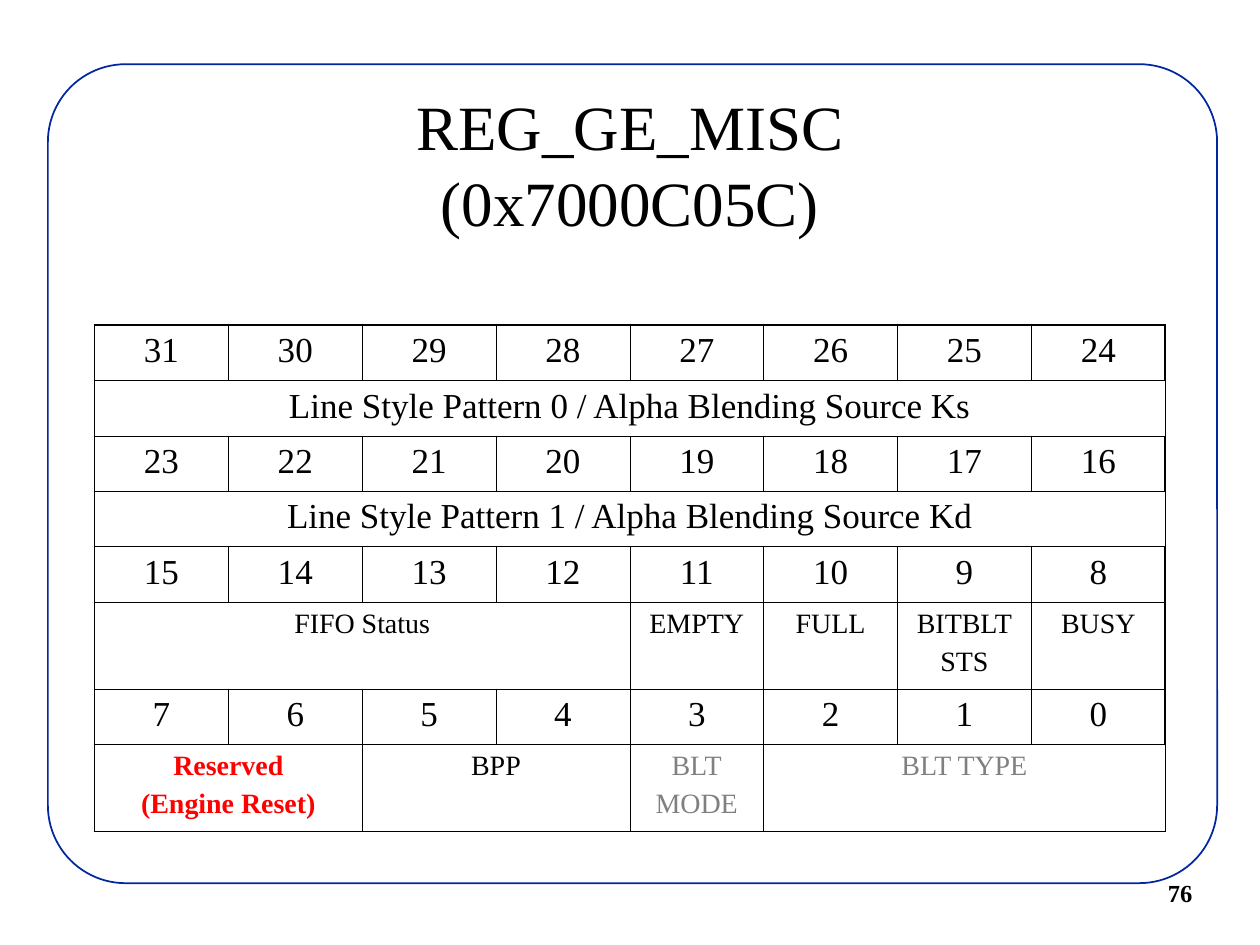
from dataclasses import dataclass

from lxml import etree
from pptx import Presentation
from pptx import util as u
from pptx.dml.color import RGBColor
from pptx.enum import shapes, text
from pptx.oxml import ns


@dataclass(frozen=True)
class Theme:
    font: str = "Times New Roman"
    ink: str = "000000"
    paper: str = "FFFFFF"
    frame: str = "00279F"
    alert: str = "FF0000"
    muted: str = "808080"
    title_size: int = 36
    bit_size: int = 20
    field_size: int = 16
    number_size: int = 14
    outer_line: float = 1.08
    inner_line: float = 0.45


class SlideBuilder:
    def __init__(self, theme, page):
        self.theme = theme
        self.page = page

    def set_words(self, frame, words, size, color=None, bold=False, align=None, gap=0):
        frame.text = words
        for index, para in enumerate(frame.paragraphs):
            para.alignment = align
            para.space_before = u.Pt(gap if index else 0)
            for span in para.runs:
                span.font.name = self.theme.font
                span.font.size = u.Pt(size)
                span.font.bold = bold
                span.font.color.rgb = RGBColor.from_string(color or self.theme.ink)

    def rounded_frame(self, left, top, width, height, corner):
        box = self.page.shapes.add_shape(
            shapes.MSO_SHAPE.ROUNDED_RECTANGLE,
            *map(u.Inches, (left, top, width, height)))
        box.adjustments[0] = corner
        box.shadow.inherit = False
        box.fill.solid()
        box.fill.fore_color.rgb = RGBColor.from_string(self.theme.paper)
        box.line.color.rgb = RGBColor.from_string(self.theme.frame)
        box.line.width = u.Pt(1)

    def text_box(self, left, top, width, height, words, size, wrap=True, **style):
        box = self.page.shapes.add_textbox(
            *map(u.Inches, (left, top, width, height)))
        frame = box.text_frame
        frame.word_wrap = wrap
        frame.vertical_anchor = (
            text.MSO_ANCHOR.MIDDLE if wrap else text.MSO_ANCHOR.TOP)
        self.set_words(frame, words, size, **style)

    def cell_borders(self, cell, outer_sides):
        properties = cell._tc.get_or_add_tcPr()
        for index, side in enumerate("LRTB"):
            width = (self.theme.outer_line if side in outer_sides
                     else self.theme.inner_line)
            line = etree.Element(ns.qn(f"a:ln{side}"), w=str(int(u.Pt(width))))
            fill = etree.SubElement(line, ns.qn("a:solidFill"))
            etree.SubElement(fill, ns.qn("a:srgbClr"), val=self.theme.ink)
            properties.insert(index, line)

    def register_table(self, left, top, width, columns, rows):
        heights = [height for height, *_ in rows]
        table = self.page.shapes.add_table(
            len(rows), columns,
            *map(u.Inches, (left, top, width, sum(heights)))).table
        table.first_row = table.horz_banding = False
        last_row, last_column = len(rows) - 1, columns - 1
        for column in table.columns:
            column.width = u.Inches(width / columns)
        for row, (height, size, gap, fields) in enumerate(rows):
            table.rows[row].height = u.Inches(height)
            for column in range(columns):
                cell = table.cell(row, column)
                cell.fill.background()
                edges = {"L": column == 0, "R": column == last_column,
                         "T": row == 0, "B": row == last_row}
                self.cell_borders(cell, [side for side, outer in edges.items() if outer])
            start = 0
            for words, bits, style in fields:
                cell = table.cell(row, start)
                if bits > 1:
                    cell.merge(table.cell(row, start + bits - 1))
                self.set_words(cell.text_frame, words, size, gap=gap,
                               align=text.PP_ALIGN.CENTER, **style)
                start += bits


def register_rows(theme):
    alert = {"color": theme.alert, "bold": True}
    muted = {"color": theme.muted}
    groups = [
        (31, 0.44, theme.bit_size, 5,
         [("Line Style Pattern 0 / Alpha Blending Source Ks", 8, {})]),
        (23, 0.44, theme.bit_size, 5,
         [("Line Style Pattern 1 / Alpha Blending Source Kd", 8, {})]),
        (15, 0.69, theme.field_size, 4,
         [("FIFO Status", 4, {}), ("EMPTY", 1, {}), ("FULL", 1, {}),
          ("BITBLT\nSTS", 1, {}), ("BUSY", 1, {})]),
        (7, 0.69, theme.field_size, 4,
         [("Reserved\n(Engine Reset)", 2, alert), ("BPP", 2, {}),
          ("BLT\nMODE", 1, muted), ("BLT TYPE", 3, muted)]),
    ]
    rows = []
    for high_bit, height, size, gap, fields in groups:
        bits = [(str(high_bit - step), 1, {}) for step in range(8)]
        rows.append((0.44, theme.bit_size, 5, bits))
        rows.append((height, size, gap, fields))
    return rows


def main():
    theme = Theme()
    deck = Presentation()
    deck.slide_width, deck.slide_height = u.Inches(10), u.Inches(7.5)
    builder = SlideBuilder(theme, deck.slides.add_slide(deck.slide_layouts[6]))
    builder.rounded_frame(0.38, 0.51, 9.28, 6.5, corner=0.095)
    builder.text_box(9.17, 6.92, 1.08, 0.33, "76", theme.number_size,
                     wrap=False, bold=True, align=text.PP_ALIGN.LEFT)
    builder.text_box(0.75, 0.67, 8.5, 1.25, "REG_GE_MISC\v(0x7000C05C)",
                     theme.title_size, align=text.PP_ALIGN.CENTER)
    builder.register_table(0.75, 2.58, 8.5, 8, register_rows(theme))
    deck.save("out.pptx")


if __name__ == "__main__":
    main()
